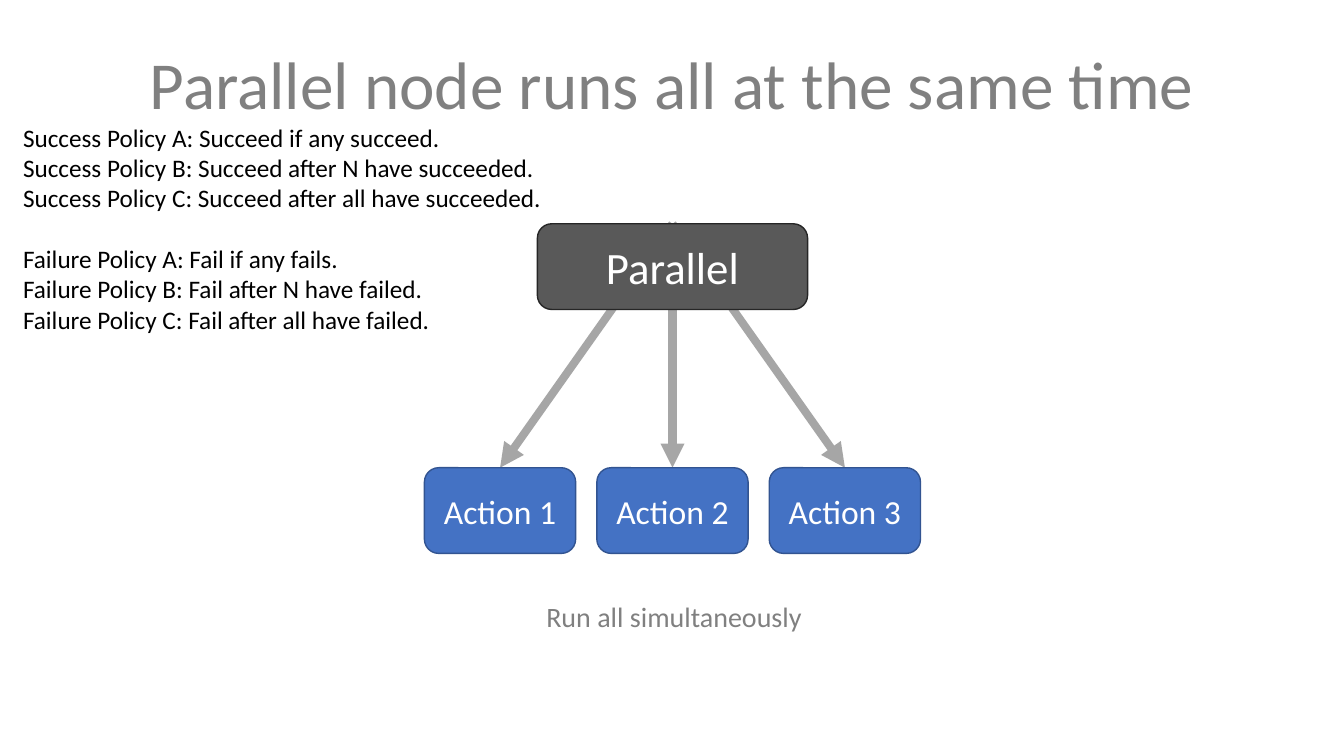
import pptx
import pptx.dml.color
import pptx.enum.shapes
import pptx.enum.text
import pptx.oxml
import pptx.oxml.ns
import pptx.util
from pptx.util import Inches

ALIGN = pptx.enum.text.PP_ALIGN
SUCCESS_POLICIES = [
    "Success Policy A: Succeed if any succeed.",
    "Success Policy B: Succeed after N have succeeded.",
    "Success Policy C: Succeed after all have succeeded.",
]
FAILURE_POLICIES = [
    "Failure Policy A: Fail if any fails.",
    "Failure Policy B: Fail after N have failed.",
    "Failure Policy C: Fail after all have failed.",
]


def color(value):
    return pptx.dml.color.RGBColor.from_string(value)


def write_paragraph(paragraph, text, size, text_color, alignment):
    paragraph.alignment = alignment
    run = paragraph.add_run()
    run.text = text
    font_format = {"name": "Calibri", "size": pptx.util.Pt(size)}
    for name, value in font_format.items():
        setattr(run.font, name, value)
    run.font.color.rgb = color(text_color)


def add_text(slide, box, groups, size, text_color, alignment=ALIGN.LEFT, wrap=False):
    frame = slide.shapes.add_textbox(*map(Inches, box)).text_frame
    frame_format = {
        "word_wrap": wrap,
        "auto_size": pptx.enum.text.MSO_AUTO_SIZE.SHAPE_TO_FIT_TEXT,
    }
    for name, value in frame_format.items():
        setattr(frame, name, value)
    for group_index, lines in enumerate(groups):
        for line_index, text in enumerate(lines):
            first = group_index == line_index == 0
            paragraph = frame.paragraphs[0] if first else frame.add_paragraph()
            if group_index and not line_index:
                paragraph.space_before = pptx.util.Pt(22)
            write_paragraph(paragraph, text, size, text_color, alignment)


def add_node(slide, box, text, size, fill, outline):
    shape = slide.shapes.add_shape(
        pptx.enum.shapes.MSO_SHAPE.ROUNDED_RECTANGLE, *map(Inches, box)
    )
    shape.shadow.inherit = False
    shape.fill.solid()
    shape.fill.fore_color.rgb = color(fill)
    shape.line.color.rgb = color(outline)
    shape.line.width = pptx.util.Pt(1)
    shape.text_frame.vertical_anchor = pptx.enum.text.MSO_ANCHOR.MIDDLE
    write_paragraph(shape.text_frame.paragraphs[0], text, size, "FFFFFF", ALIGN.CENTER)


def add_arrow(slide, start, end):
    arrow = slide.shapes.add_connector(
        pptx.enum.shapes.MSO_CONNECTOR.STRAIGHT, *map(Inches, start + end)
    )
    arrow.line.color.rgb = color("A6A6A6")
    arrow.line.width = pptx.util.Pt(5.75)
    tail = pptx.oxml.parse_xml(
        f'<a:tailEnd {pptx.oxml.ns.nsdecls("a")} type="triangle"/>'
    )
    arrow.line._get_or_add_ln().append(tail)
    effects = pptx.oxml.parse_xml(f'<a:effectLst {pptx.oxml.ns.nsdecls("a")}/>')
    arrow._element.spPr.append(effects)


def add_tree(slide, box, actions):
    left, top, width, height = box
    node_height, parent_width, action_width = 0.85, 2.68, 1.5
    center = left + width / 2
    action_top = top + height - node_height
    step = (width - action_width) / (len(actions) - 1)
    action_lefts = [left + index * step for index in range(len(actions))]
    for action_left in action_lefts:
        end = action_left + action_width / 2
        straight = abs(end - center) < 0.01
        start_top = top + node_height if straight else top
        add_arrow(slide, (center, start_top), (end, action_top))
    for action_left, action in zip(action_lefts, actions):
        action_box = (action_left, action_top, action_width, node_height)
        add_node(slide, action_box, action, 24, "4472C4", "325491")
    parent_box = (center - parent_width / 2, top, parent_width, node_height)
    add_node(slide, parent_box, "Parallel", 32, "595959", "262626")


def main():
    presentation = pptx.Presentation()
    presentation.slide_width = Inches(13.33)
    presentation.slide_height = Inches(7.5)
    slide = presentation.slides.add_slide(presentation.slide_layouts[6])
    title = "Parallel node runs all at the same time"
    add_text(slide, (0, 0.37, 13.33, 0.91), [[title]], 48, "808080", ALIGN.CENTER, True)
    add_tree(slide, (4.21, 2.22, 4.92, 3.27), ["Action 1", "Action 2", "Action 3"])
    add_text(slide, (5.32, 5.9, 2.76, 0.44), [["Run all simultaneously"]], 20, "808080")
    policies = [SUCCESS_POLICIES, FAILURE_POLICIES]
    add_text(slide, (0.13, 1.16, 5.41, 2.22), policies, 18, "000000")
    presentation.save("out.pptx")


if __name__ == "__main__":
    main()
